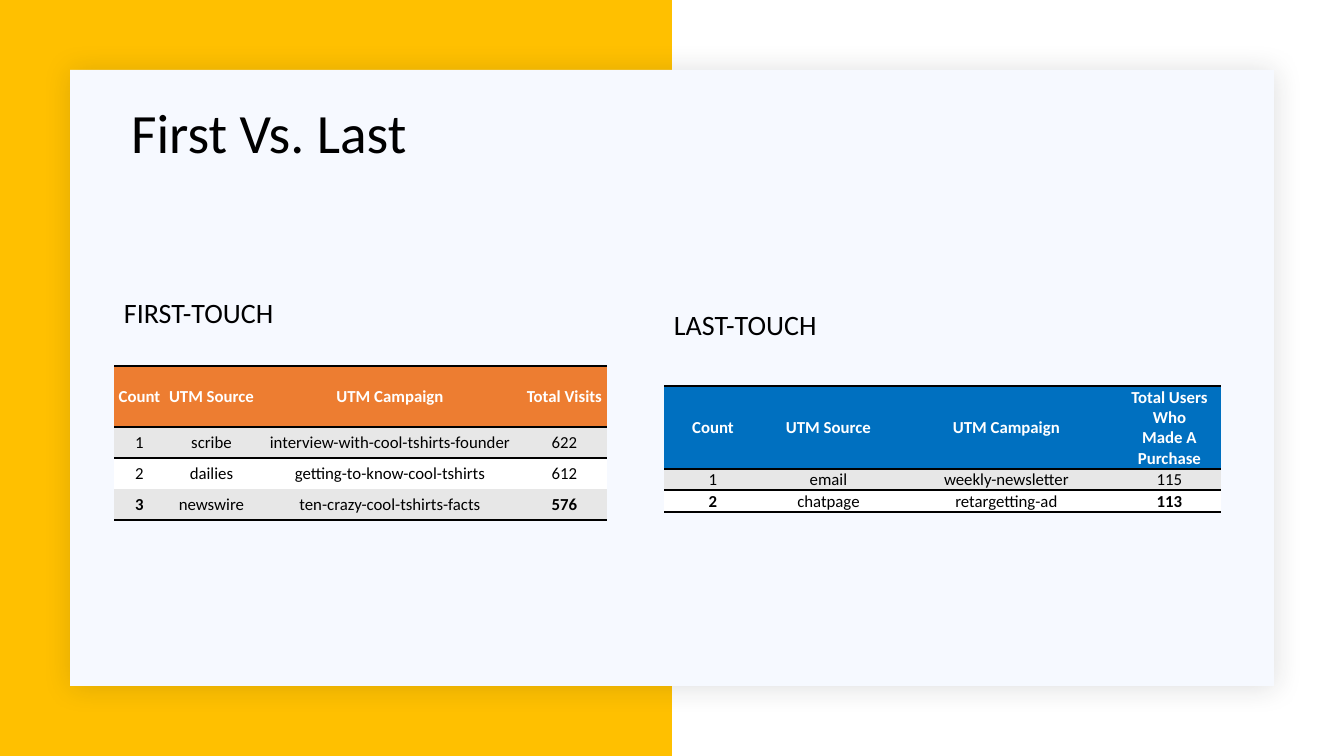
from pptx import Presentation, util as u
from pptx.dml.color import RGBColor
from pptx.enum import shapes, text
from pptx.oxml import parse_xml
from pptx.oxml.ns import nsdecls, qn


def px(*values):
    return [u.Emu(round(v * 914400 / 100.8)) for v in values]


def style(p, size, color="000000", bold=False):
    p.font.name = "Calibri"
    p.font.size = u.Pt(size)
    p.font.bold = bold
    p.font.color.rgb = RGBColor.from_string(color)


prs = Presentation()
prs.slide_width, prs.slide_height = px(1344, 756)
s = prs.slides.add_slide(prs.slide_layouts[5])

for box, fill in [((0, 0, 672, 756), "FFC000"), ((70, 70, 1204, 616), "F6F9FF")]:
    panel = s.shapes.add_shape(shapes.MSO_SHAPE.RECTANGLE, *px(*box))
    panel.shadow.inherit = False
    panel.fill.solid()
    panel.fill.fore_color.rgb = RGBColor.from_string(fill)
    panel.line.fill.background()

panel._element.spPr.find(qn("a:effectLst")).append(parse_xml(
    f'<a:outerShdw {nsdecls("a")} blurRad="254000" dist="25400" dir="2700000" algn="ctr" rotWithShape="0">'
    '<a:srgbClr val="1F2125"><a:alpha val="15000"/></a:srgbClr></a:outerShdw>'))

title = s.shapes.title
title._element.getparent().append(title._element)
title.left, title.top, title.width, title.height = px(121, 104, 1109, 64)
tf = title.text_frame
tf.text = "First Vs. Last"
tf.auto_size = text.MSO_AUTO_SIZE.NONE
tf.vertical_anchor = text.MSO_ANCHOR.MIDDLE
p = tf.paragraphs[0]
p.alignment = text.PP_ALIGN.LEFT
p.line_spacing = 0.9
style(p, 39.6)

touches = [
    ("FIRST-TOUCH", 114, 273, 366, "ED7D31", [51, 93, 264, 85], [61, 31, 31, 31], [
        ["Count", "UTM Source", "UTM Campaign", "Total Visits"],
        ["1", "scribe", "interview-with-cool-tshirts-founder", "622"],
        ["2", "dailies", "getting-to-know-cool-tshirts", "612"],
        ["3", "newswire", "ten-crazy-cool-tshirts-facts", "576"]]),
    ("LAST-TOUCH", 664, 285, 386, "0070C0", [98, 133, 223, 103], [83, 21, 22], [
        ["Count", "UTM Source", "UTM Campaign", "Total Users Who\vMade A Purchase"],
        ["1", "email", "weekly-newsletter", "115"],
        ["2", "chatpage", "retargetting-ad", "113"]]),
]

for heading, left, heading_top, table_top, accent, widths, heights, rows in touches:
    tf = s.shapes.add_textbox(*px(left, heading_top, 511, 82)).text_frame
    tf.word_wrap = True
    tf.vertical_anchor = text.MSO_ANCHOR.MIDDLE
    p = tf.paragraphs[0]
    p.text = heading
    p.line_spacing = 0.9
    style(p, 20)

    frame = s.shapes.add_table(len(rows), len(widths), *px(left, table_top, sum(widths), sum(heights)))
    table = frame.table
    table.horz_banding = False
    table._tbl.tblPr.find(qn("a:tableStyleId")).text = "{2D5ABB26-0587-4C30-8999-92F81FD0307C}"
    for column, width in zip(table.columns, px(*widths)):
        column.width = width
    for row, height in zip(table.rows, px(*heights)):
        row.height = height

    last = len(rows) - 1
    for i, values in enumerate(rows):
        fill = accent if i == 0 else "E7E7E7" if i % 2 else "FFFFFF"
        edges = {0: ["lnT", "lnB"], 1: ["lnT"], last: ["lnB"]}.get(i, [])
        for j, value in enumerate(values):
            cell = table.cell(i, j)
            cell.text = value
            cell.vertical_anchor = text.MSO_ANCHOR.MIDDLE
            cell.margin_left, cell.margin_top, cell.margin_right, cell.margin_bottom = px(1, 1, 1, 0)
            p = cell.text_frame.paragraphs[0]
            p.alignment = text.PP_ALIGN.CENTER
            style(p, 12, "000000" if i else "FFFFFF", i == 0 or i == last and j in (0, 3))
            for edge in edges:
                cell._tc.get_or_add_tcPr().append(parse_xml(
                    f'<a:{edge} {nsdecls("a")} w="25400"><a:solidFill>'
                    f'<a:srgbClr val="000000"/></a:solidFill></a:{edge}>'))
            cell.fill.solid()
            cell.fill.fore_color.rgb = RGBColor.from_string(fill)

prs.save("out.pptx")
